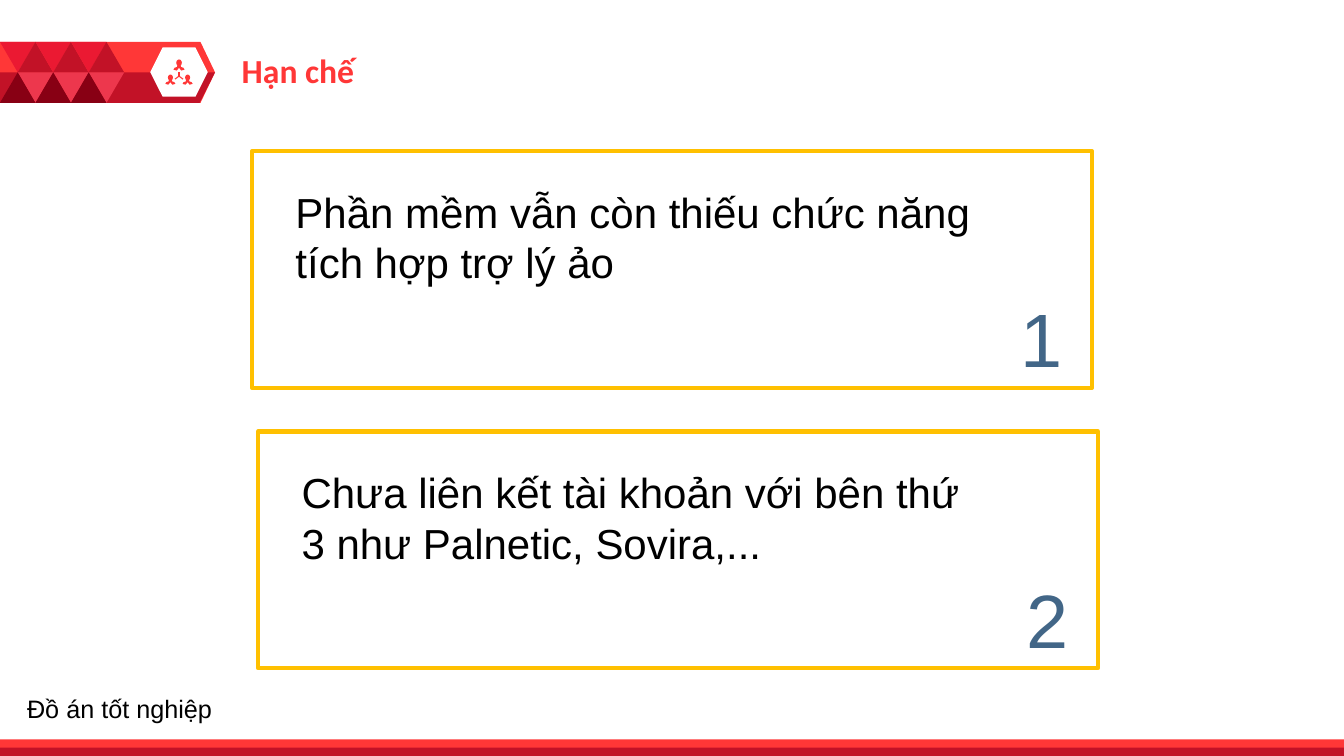
from lxml.etree import SubElement
from pptx import Presentation
from pptx.dml.color import RGBColor
from pptx.enum.shapes import MSO_CONNECTOR, MSO_SHAPE as SHAPE
from pptx.enum.text import PP_ALIGN as ALIGN
from pptx.oxml.ns import qn
from pptx.util import Inches, Pt

RED = RGBColor(0xFF, 0x37, 0x37)
DARK_RED = RGBColor(0xC2, 0x12, 0x27)
CRIMSON = RGBColor(0xEB, 0x19, 0x32)
ROSE = RGBColor(0xED, 0x37, 0x4D)
MAROON = RGBColor(0x88, 0x00, 0x14)
AMBER = RGBColor(0xFF, 0xC0, 0x00)
SLATE = RGBColor(0x42, 0x66, 0x87)
BLACK = RGBColor(0, 0, 0)
WHITE = RGBColor(0xFF, 0xFF, 0xFF)

WIDTH, HEIGHT = Inches(13.33), Inches(7.5)

# Triangle grid of the header badge, in percent of the slide
COL, ROW, BADGE_TOP = 1.32, 4.03, 5.55
BADGE_WIDTH = 16


def px(share):
    return round(WIDTH * share / 100)


def py(share):
    return round(HEIGHT * share / 100)


def at(x, y, w, h):
    return px(x), py(y), px(w), py(h)


def paint(sp, fill=None, line=None, width=3):
    sp.shadow.inherit = False
    if fill is None:
        sp.fill.background()
    else:
        sp.fill.solid()
        sp.fill.fore_color.rgb = fill
    if line is None:
        sp.line.fill.background()
    else:
        sp.line.color.rgb = line
        sp.line.width = Pt(width)


def add_preset(s, kind, box, adj=None, turn=0, **colours):
    sp = s.shapes.add_shape(kind, *at(*box))
    if adj is not None:
        sp.adjustments[0] = adj
    sp.rotation = turn
    paint(sp, **colours)


def add_polygon(s, points, fill):
    (x, y), *rest = [(px(x), py(y)) for x, y in points]
    builder = s.shapes.build_freeform(x, y)
    builder.add_line_segments(rest, close=True)
    paint(builder.convert_to_shape(), fill=fill)


def add_line(s, x1, y1, x2, y2, colour, width):
    c = s.shapes.add_connector(MSO_CONNECTOR.STRAIGHT, px(x1), py(y1), px(x2), py(y2))
    c.line.color.rgb = colour
    c.line.width = Pt(width)
    SubElement(c.element.spPr, qn("a:effectLst"))


def add_text(s, text, box, size=18, font="Arial", colour=BLACK, bold=False, align=ALIGN.LEFT):
    tf = s.shapes.add_textbox(*at(*box)).text_frame
    tf.word_wrap = True
    p = tf.paragraphs[0]
    p.alignment = align
    r = p.add_run()
    r.text = text
    r.font.size = Pt(size)
    r.font.name = font
    r.font.bold = bold
    r.font.color.rgb = colour


def add_person(s, x, y, w, h):
    """Head and shoulders, centred on x, with the top at y."""
    add_preset(s, SHAPE.OVAL, (x - w / 4, y, w / 2, h * 0.6), fill=RED)
    outline = [(-0.14, 0.5), (0.14, 0.5), (0.18, 0.68), (0.4, 0.75), (0.5, 0.92),
               (0.2, 1), (0, 0.75), (-0.2, 1), (-0.5, 0.92), (-0.4, 0.75), (-0.18, 0.68)]
    add_polygon(s, [(x + w * dx, y + h * dy) for dx, dy in outline], RED)


def add_network_icon(s, x=13.32):
    add_person(s, x, 7.87, 0.83, 1.47)
    for side in (-1, 1):
        add_person(s, x + side * 0.64, 9.87, 0.75, 1.33)
    for dx, y in ((0, 9.5), (-0.3, 10.47), (0.3, 10.47)):
        add_line(s, x, 10.07, x + dx, y, RED, 0.75)


def add_badge(s):
    middle, bottom = BADGE_TOP + ROW, BADGE_TOP + 2 * ROW
    add_preset(s, SHAPE.PENTAGON, (0, BADGE_TOP, BADGE_WIDTH, 2 * ROW), adj=0.239, fill=RED)
    add_polygon(s, [(0, middle), (BADGE_WIDTH, middle), (14.85, bottom), (0, bottom)], DARK_RED)
    add_preset(s, SHAPE.HEXAGON, (11.18, 6.27, 4.28, 6.53), adj=0.25, fill=WHITE)
    add_network_icon(s)
    # Each pair of columns holds four triangles: column, row, turn, colour
    pattern = ((0, 0, 180, CRIMSON), (1, 0, 0, DARK_RED), (1, 1, 180, ROSE), (0, 1, 0, MAROON))
    for pair in range(3):
        for col, row, turn, colour in pattern:
            box = ((2 * pair + col) * COL, BADGE_TOP + row * ROW, 2 * COL, ROW)
            add_preset(s, SHAPE.ISOSCELES_TRIANGLE, box, turn=turn, fill=colour)


def add_card(s, x, y, number, text):
    add_preset(s, SHAPE.RECTANGLE, (x, y, 62.5, 31.33), line=AMBER)
    add_text(s, text, (x + 2.5, y + 4, 51.88, 14.8), size=30)
    add_text(s, str(number), (x + 48.77, y + 18, 12.3, 13.47),
             size=54, colour=SLATE, align=ALIGN.RIGHT)


def main():
    prs = Presentation()
    prs.slide_width, prs.slide_height = WIDTH, HEIGHT
    s = prs.slides.add_slide(prs.slide_layouts[6])

    # Header and footer bands
    add_badge(s)
    add_preset(s, SHAPE.RECTANGLE, (0, 97.8, 100, 2.2), fill=RED)
    add_preset(s, SHAPE.RECTANGLE, (0, 98.9, 100, 1.1), fill=DARK_RED)
    add_text(s, "Hạn chế", (17.25, 6, 31.66, 6.73),
             size=24, font="Calibri", colour=RED, bold=True)

    # Limitations
    cards = ("Phần mềm vẫn còn thiếu chức năng tích hợp trợ lý ảo",
             "Chưa liên kết tài khoản với bên thứ 3 như Palnetic, Sovira,...")
    for i, text in enumerate(cards):
        add_card(s, 18.75 + i * 0.45, 20 + i * 37.07, i + 1, text)

    add_text(s, "Đồ án tốt nghiệp", (1.28, 91.07, 21.23, 5.33))
    prs.save("out.pptx")


if __name__ == "__main__":
    main()
